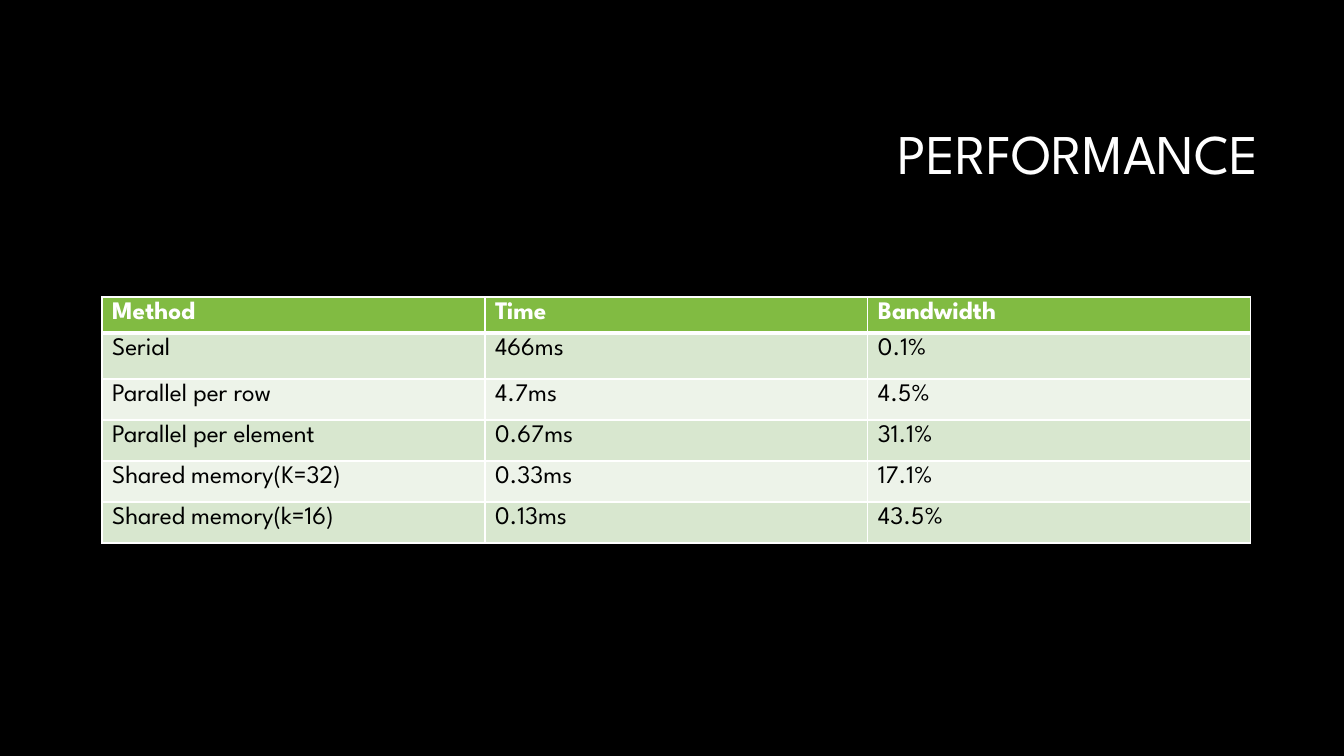
"""Build the performance slide: a title above a table of methods, times and bandwidths."""
from dataclasses import dataclass

from lxml.etree import SubElement
from pptx import Presentation
from pptx.dml.color import RGBColor
from pptx.enum.text import MSO_ANCHOR, MSO_AUTO_SIZE, PP_ALIGN
from pptx.oxml.ns import qn
from pptx.util import Pt


@dataclass(frozen=True)
class Theme:
    font: str = "League Spartan"
    title_size: int = 40
    table_size: int = 18
    background: str = "000000"
    light: str = "FFFFFF"
    dark: str = "000000"
    header: str = "81BB42"
    bands: tuple = ("D8E7CF", "EDF3E9")
    thin: int = 1
    thick: int = 3


theme = Theme()
SLIDE_WIDTH, SLIDE_HEIGHT = 1344, 756
TABLE_LEFT, TABLE_TOP, COLUMN_WIDTH = 102, 297, 383
ROW_HEIGHTS = [36, 46, 41, 41, 41, 41]
ROWS = [
    ("Method", "Time", "Bandwidth"),
    ("Serial", "466ms", "0.1%"),
    ("Parallel per row", "4.7ms", "4.5%"),
    ("Parallel per element", "0.67ms", "31.1%"),
    ("Shared memory(K=32)", "0.33ms", "17.1%"),
    ("Shared memory(k=16)", "0.13ms", "43.5%"),
]


def px(length):
    return round(length * 914400 / 100.8)


def format_text(paragraph, size, color, bold=False):
    for run in paragraph.runs:
        run.font.name = theme.font
        run.font.size = Pt(size)
        run.font.bold = bold
        run.font.color.rgb = RGBColor.from_string(color)


presentation = Presentation()
presentation.slide_width = px(SLIDE_WIDTH)
presentation.slide_height = px(SLIDE_HEIGHT)
slide = presentation.slides.add_slide(presentation.slide_layouts[5])
slide.background.fill.solid()
slide.background.fill.fore_color.rgb = RGBColor.from_string(theme.background)

title = slide.shapes.title
title.left, title.top, title.width, title.height = px(319), px(85), px(950), px(142)
title.text_frame.text = "PERFORMANCE"
title.text_frame.word_wrap = True
title.text_frame.auto_size = MSO_AUTO_SIZE.NONE
title.text_frame.vertical_anchor = MSO_ANCHOR.MIDDLE
title_paragraph = title.text_frame.paragraphs[0]
title_paragraph.alignment = PP_ALIGN.RIGHT
title_paragraph.line_spacing = 0.9
format_text(title_paragraph, theme.title_size, theme.light)

column_count = len(ROWS[0])
table = slide.shapes.add_table(
    len(ROWS), column_count, px(TABLE_LEFT), px(TABLE_TOP),
    px(COLUMN_WIDTH * column_count), px(sum(ROW_HEIGHTS)),
).table
for column in table.columns:
    column.width = px(COLUMN_WIDTH)

for row_index, values in enumerate(ROWS):
    table.rows[row_index].height = px(ROW_HEIGHTS[row_index])
    is_header = row_index == 0
    fill_color = theme.header if is_header else theme.bands[(row_index - 1) % 2]
    text_color = theme.light if is_header else theme.dark
    border_widths = {
        "a:lnL": theme.thin,
        "a:lnR": theme.thin,
        "a:lnT": theme.thick if row_index == 1 else theme.thin,
        "a:lnB": theme.thick if is_header else theme.thin,
    }
    for column_index, value in enumerate(values):
        cell = table.cell(row_index, column_index)
        cell.text_frame.text = value
        format_text(cell.text_frame.paragraphs[0], theme.table_size, text_color, is_header)
        cell_properties = cell._tc.get_or_add_tcPr()
        for tag, width in border_widths.items():
            border = SubElement(cell_properties, qn(tag), w=str(Pt(width)))
            border_fill = SubElement(border, qn("a:solidFill"))
            SubElement(border_fill, qn("a:srgbClr"), val=theme.light)
        cell.fill.solid()
        cell.fill.fore_color.rgb = RGBColor.from_string(fill_color)

presentation.save("out.pptx")
